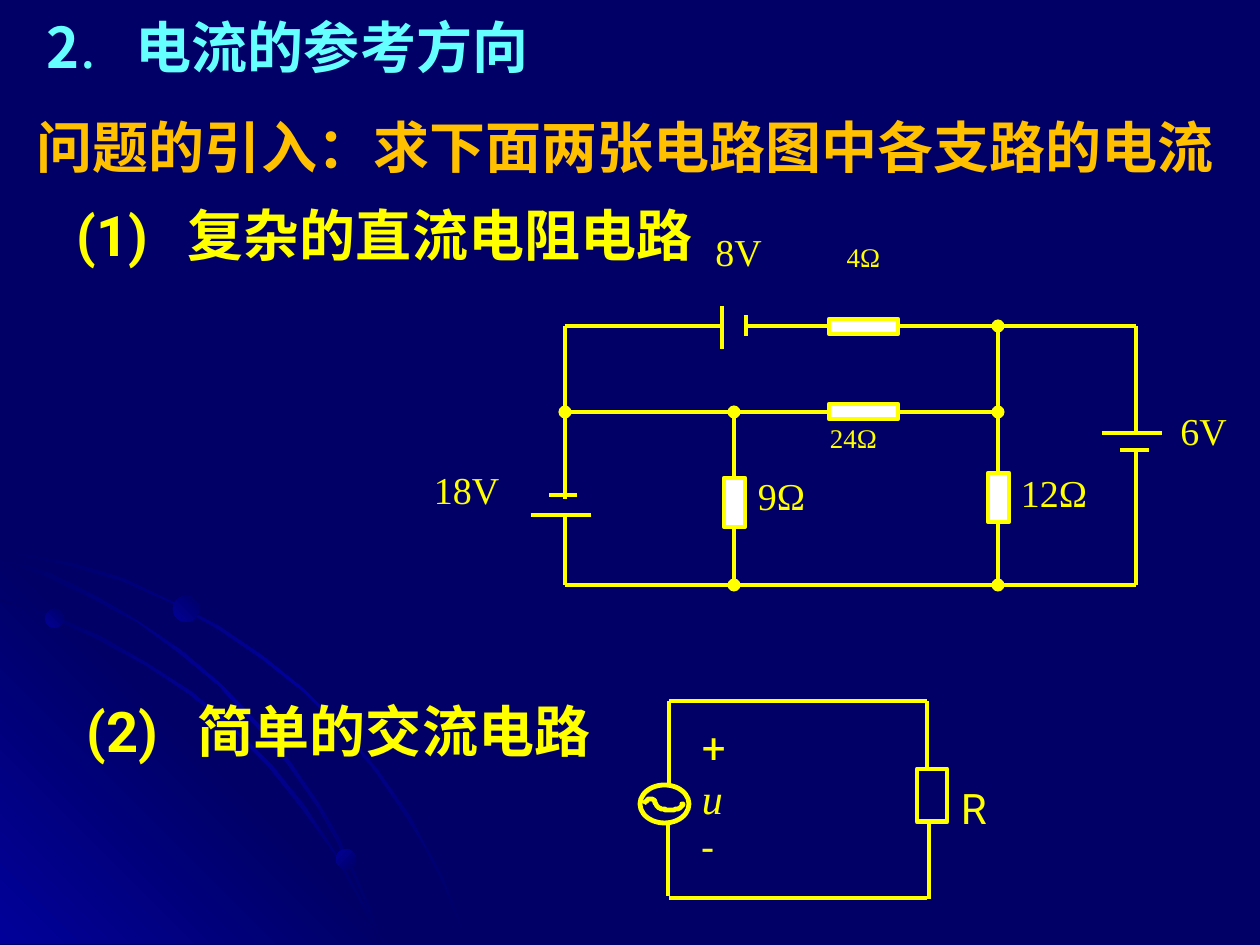
from lxml.etree import SubElement
from pptx import Presentation
from pptx.dml.color import RGBColor
from pptx.enum.shapes import MSO_CONNECTOR, MSO_SHAPE
from pptx.enum.text import MSO_ANCHOR, MSO_AUTO_SIZE, PP_ALIGN
from pptx.oxml.ns import qn
from pptx.util import Inches, Pt

SCALE = Inches(10) / 1260
NAVY, BLUE, YELLOW, CYAN, ORANGE, WHITE = "000066", "010199", "FFFF00", "66FFFF", "FFC000", "FFFFFF"
CJK, SANS, SERIF = "Noto Sans CJK SC", "Roboto", "Times New Roman"

ARCS = [
    [(72, 563), (35, 556), (0, 548), (0, 552), (35, 558), (71, 566), (122, 581), (170, 602),
     (218, 629), (262, 659), (304, 692), (341, 730), (375, 771), (407, 818), (425, 848),
     (441, 879), (454, 911), (466, 944), (469, 944), (456, 911), (444, 879), (427, 848),
     (410, 816), (378, 770), (343, 728), (305, 690), (263, 656), (219, 626), (171, 601), (123, 578)],
    [(359, 900), (370, 922), (379, 944), (382, 944), (373, 920), (360, 897), (335, 852),
     (305, 806), (271, 764), (232, 726), (192, 692), (147, 663), (100, 636), (52, 615), (0, 599),
     (0, 601), (49, 617), (97, 639), (145, 665), (189, 694), (231, 728), (268, 766), (302, 809), (334, 853)],
    [(0, 557), (0, 559), (45, 576), (93, 599), (137, 622), (179, 653), (218, 685), (255, 725),
     (286, 762), (318, 808), (336, 840), (353, 874), (368, 910), (379, 944), (382, 944),
     (370, 907), (355, 873), (339, 838), (320, 805), (289, 760), (257, 722), (221, 684),
     (181, 650), (138, 621), (96, 596), (50, 573)],
]
CORNER = [(406, 944), (0, 944), (0, 538)]
BALLS = [(45, 609, 19, 315), (336, 849, 20, 45), (173, 596, 26, 315)]

LEFT, MIDDLE, INNER, RIGHT = 565, 734, 998, 1136
TOP, CENTER, BOTTOM = 326, 412, 585
DC_WIRES = [
    (LEFT, BOTTOM, RIGHT, BOTTOM), (LEFT, BOTTOM, LEFT, 517), (LEFT, 499, LEFT, TOP),
    (LEFT, TOP, 723, TOP), (746, TOP, RIGHT, TOP), (RIGHT, TOP, RIGHT, 433), (RIGHT, 450, RIGHT, BOTTOM),
]
NODE_WIRES = [(LEFT, CENTER, INNER, CENTER), (INNER, TOP, INNER, BOTTOM), (MIDDLE, CENTER, MIDDLE, BOTTOM)]
BATTERY_PLATES = [
    (722, 306, 722, 349), (746, 315, 746, 336), (1162, 433, 1102, 433),
    (1149, 450, 1120, 450), (591, 515, 531, 515), (577, 495, 549, 495),
]
RESISTORS = [(988, 473, 21, 49), (724, 478, 21, 49), (829, 404, 69, 15), (829, 319, 69, 15)]
AC_WIRES = [
    (669, 785, 669, 701), (668, 896, 668, 823), (669, 898, 927, 898),
    (669, 701, 927, 701), (927, 770, 927, 701), (929, 899, 929, 824),
]
SINE_START = (644, 804)
SINE_CURVES = [
    ((646, 801), (650, 796), (654, 800)), ((655, 803), (656, 806), (659, 808)),
    ((662, 809), (663, 809), (665, 809)), ((665, 809), (665, 810), (667, 810)),
    ((672, 810), (677, 810), (680, 808)), ((687, 803), (679, 804), (684, 804)),
]
VALUES = [
    ("12Ω", (1018, 478, 107, 49), 21.7, PP_ALIGN.LEFT), ("9Ω", (755, 481, 83, 49), 21.7, PP_ALIGN.LEFT),
    ("18V", (431, 475, 149, 49), 21.7, PP_ALIGN.LEFT), ("24Ω", (827, 428, 121, 37), 15.4, PP_ALIGN.LEFT),
    ("4Ω", (818, 247, 91, 35), 15.4, PP_ALIGN.CENTER), ("8V", (697, 237, 83, 49), 21.7, PP_ALIGN.CENTER),
    ("6V", (1162, 416, 83, 49), 21.7, PP_ALIGN.CENTER),
]
HEADINGS = [
    ("问题的引入：求下面两张电路图中各支路的电流", (24, 106, 1232, 81), ORANGE),
    ("(1)\t复杂的直流电阻电路", (64, 194, 694, 81), YELLOW),
    ("(2)\t简单的交流电路", (74, 690, 694, 81), YELLOW),
]


def px(value):
    return round(value * SCALE)


def area(*values):
    return [px(value) for value in values]


def color(value):
    return RGBColor.from_string(value)


def stroke(shape, width):
    shape.line.color.rgb = color(YELLOW)
    shape.line.width = Pt(width)


def gradient(shape, stops, angle):
    shape.shadow.inherit = False
    shape.line.fill.background()
    shape.fill.gradient()
    fill = shape.fill._xPr.find(qn("a:gradFill"))
    for child in list(fill):
        fill.remove(child)
    stop_list = SubElement(fill, qn("a:gsLst"))
    for index, stop in enumerate(stops):
        position = str(index * 100000 // (len(stops) - 1))
        mark = SubElement(stop_list, qn("a:gs"), pos=position)
        SubElement(mark, qn("a:srgbClr"), val=stop)
    SubElement(fill, qn("a:lin"), ang=str(angle * 60000), scaled="1")


def outline(page, points, close=True):
    builder = page.shapes.build_freeform(*points[0], scale=SCALE)
    builder.add_line_segments(points[1:], close=close)
    return builder.convert_to_shape()


def wire(page, ends, width=2.5, dots=False):
    line = page.shapes.add_connector(MSO_CONNECTOR.STRAIGHT, *area(*ends))
    stroke(line, width)
    SubElement(line._element.spPr, qn("a:effectLst"))
    if dots:
        for end in ("a:headEnd", "a:tailEnd"):
            SubElement(line.line._get_or_add_ln(), qn(end), type="oval", w="med", len="med")


def part(page, kind, place, width, fill=None):
    shape = page.shapes.add_shape(kind, *area(*place))
    shape.shadow.inherit = False
    if fill:
        shape.fill.solid()
        shape.fill.fore_color.rgb = color(fill)
    else:
        shape.fill.background()
    stroke(shape, width)


def setup(box, margins=(13, 6)):
    frame = box.text_frame
    frame.word_wrap = True
    frame.auto_size = MSO_AUTO_SIZE.NONE
    frame.vertical_anchor = MSO_ANCHOR.TOP
    frame.margin_left = frame.margin_right = px(margins[0])
    frame.margin_top = frame.margin_bottom = px(margins[1])
    return frame


def textbox(page, place, margins=(13, 6)):
    return setup(page.shapes.add_textbox(*area(*place)), margins)


def write(para, text, size=24, font=SANS, fill=YELLOW, bold=False, italic=False):
    span = para.add_run()
    span.text = text
    span.font.size = Pt(size)
    span.font.name = font
    span.font.bold = bold
    span.font.italic = italic
    span.font.color.rgb = color(fill)
    SubElement(span.font._element, qn("a:ea"), typeface=CJK)


def tab_stop(para, position):
    tabs = SubElement(para._p.get_or_add_pPr(), qn("a:tabLst"))
    SubElement(tabs, qn("a:tab"), pos=str(px(position)), algn="l")


def bezier(start, curves, steps=6):
    points = [start]
    for first, second, end in curves:
        corners = (points[-1], first, second, end)
        for step in range(1, steps + 1):
            t = step / steps
            weights = ((1 - t) ** 3, 3 * t * (1 - t) ** 2, 3 * t * t * (1 - t), t ** 3)
            points.append(tuple(sum(w * c[axis] for w, c in zip(weights, corners)) for axis in (0, 1)))
    return points


def decorate(page):
    page.background.fill.solid()
    page.background.fill.fore_color.rgb = color(NAVY)
    gradient(outline(page, ARCS[0]), (NAVY, BLUE, NAVY), 45)
    gradient(outline(page, CORNER), (BLUE, NAVY, BLUE), 315)
    for arc in ARCS[1:]:
        gradient(outline(page, arc), (NAVY, BLUE, NAVY), 45)
    for x, y, size, angle in BALLS:
        ball = page.shapes.add_shape(MSO_SHAPE.OVAL, *area(x, y, size, size))
        gradient(ball, (BLUE, NAVY), angle)


def write_headings(page):
    title = page.shapes.title
    title.left, title.top, title.width, title.height = area(34, 6, 625, 81)
    para = setup(title).paragraphs[0]
    para.alignment = PP_ALIGN.LEFT
    tab_stop(para, 89)
    for text, bold in (("2", True), (".\t", False), ("电流的参考方向", True)):
        write(para, text, size=32, font=CJK, fill=CYAN, bold=bold)
    for text, place, fill in HEADINGS:
        para = textbox(page, place).paragraphs[0]
        tab_stop(para, 111)
        write(para, text, size=32, fill=fill, bold=True)


def draw_dc_circuit(page):
    for ends in DC_WIRES + BATTERY_PLATES:
        wire(page, ends)
    for ends in NODE_WIRES:
        wire(page, ends, dots=True)
    for place in RESISTORS:
        part(page, MSO_SHAPE.RECTANGLE, place, 2.5, fill=WHITE)
    for text, place, size, align in VALUES:
        para = textbox(page, place, margins=(3, 0)).paragraphs[0]
        para.alignment = align
        para.line_spacing = 0.8
        write(para, text, size=size, font=SERIF)


def draw_ac_circuit(page):
    part(page, MSO_SHAPE.OVAL, (640, 785, 49, 38), 2.75)
    part(page, MSO_SHAPE.RECTANGLE, (917, 769, 30, 53), 2.75)
    for ends in AC_WIRES:
        wire(page, ends, width=2.75)
    sine = outline(page, bezier(SINE_START, SINE_CURVES), close=False)
    sine.shadow.inherit = False
    sine.fill.background()
    stroke(sine, 2.75)
    source = textbox(page, (689, 716, 79, 113))
    write(source.paragraphs[0], "+")
    write(source.add_paragraph(), "u", font=SERIF, italic=True)
    write(textbox(page, (689, 816, 79, 63)).paragraphs[0], "-")
    write(textbox(page, (948, 777, 59, 63)).paragraphs[0], "R")


def main():
    deck = Presentation()
    deck.slide_width, deck.slide_height = area(1260, 945)
    page = deck.slides.add_slide(deck.slide_layouts[5])
    decorate(page)
    write_headings(page)
    draw_dc_circuit(page)
    draw_ac_circuit(page)
    deck.save("out.pptx")


if __name__ == "__main__":
    main()
